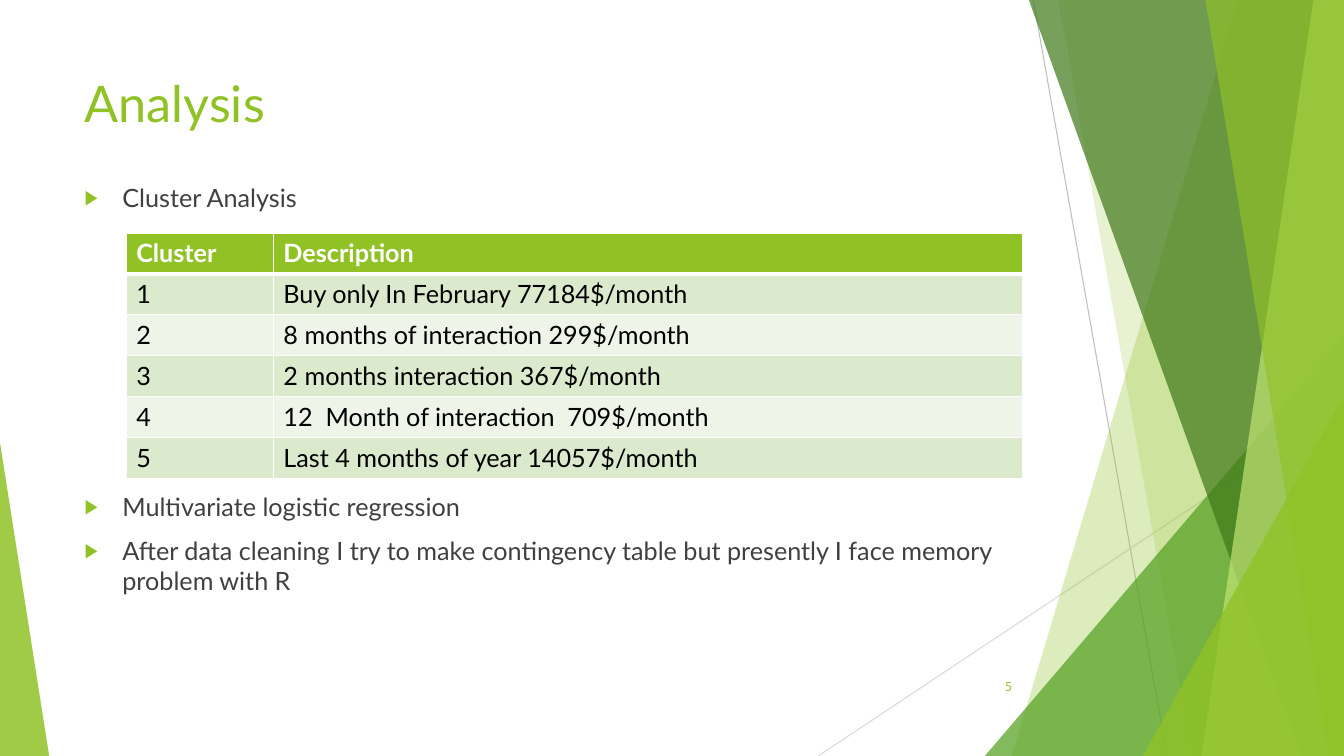
import dataclasses

import lxml.etree
import pptx
import pptx.dml.color
import pptx.enum.shapes
import pptx.enum.text
import pptx.oxml.ns
import pptx.util

Cm = pptx.util.Cm
Pt = pptx.util.Pt
qn = pptx.oxml.ns.qn

FONT = "Lato"
GREEN, WHITE, BLACK, GREY = "90C226", "FFFFFF", "000000", "404040"
BAND_COLOURS = ("DBE9CD", "EEF4E8")
WIDTH, HEIGHT = 33.87, 19.05
LEFT, TEXT_WIDTH = 1.88, 23.88
TABLE_GAP = 199  # points left between the first two bullets for the table


@dataclasses.dataclass
class Ray:
    """A thin straight line; lengths in cm."""
    x1: float
    y1: float
    x2: float
    y2: float
    colour: str


@dataclasses.dataclass
class Band:
    """A slanted area from its left edge to the slide's right edge."""
    top_x: float
    bottom_x: float
    colour: str
    opacity: int


@dataclasses.dataclass
class Wedge:
    """A right triangle standing on the slide's bottom edge."""
    left: float
    top: float
    right: float
    apex: float
    colour: str
    opacity: int


@dataclasses.dataclass
class Bullet:
    """A list item and the space before it in points."""
    text: str
    before: int = 10


DECORATION = [
    Ray(26.04, 0, 29.41, HEIGHT, "BFBFBF"),
    Ray(WIDTH, 10.24, 20.62, HEIGHT, "D9D9D9"),
    Band(31.19, 25.5, GREEN, 30),
    Band(26.67, 30.05, GREEN, 20),
    Wedge(24.82, 8.46, WIDTH, 1, "54A021", 72),
    Band(25.93, 32.79, "3F7819", 70),
    Band(33.1, 30.28, "C0E474", 70),
    Band(30.38, 33.48, GREEN, 65),
    Wedge(28.8, 9.98, WIDTH, 1, GREEN, 80),
    Wedge(0, 11.15, 1.24, 0, GREEN, 85),
]
BULLETS = [
    Bullet("Cluster Analysis"),
    Bullet("Multivariate logistic regression", TABLE_GAP),
    Bullet("After data cleaning I try to make contingency table "
           "but presently I face memory problem with R"),
]
CLUSTERS = [
    ("Cluster", "Description"),
    ("1", "Buy only In February 77184$/month"),
    ("2", "8 months of interaction 299$/month"),
    ("3", "2 months interaction 367$/month"),
    ("4", "12  Month of interaction  709$/month"),
    ("5", "Last 4 months of year 14057$/month"),
]


def rgb(colour: str) -> pptx.dml.color.RGBColor:
    """Turn a hex string into a colour."""
    return pptx.dml.color.RGBColor.from_string(colour)


def add_xml(parent, tag: str, **attrs: str):
    """Append a DrawingML element and return it."""
    return lxml.etree.SubElement(parent, qn(tag), attrs)


def format_runs(p, size: float, colour: str, bold: bool = False) -> None:
    """Set the font of every run in a paragraph."""
    for r in p.runs:
        r.font.name, r.font.size, r.font.bold = FONT, Pt(size), bold
        r.font.color.rgb = rgb(colour)


def paint(sp, colour: str, opacity: int) -> None:
    """Give a shape a see-through fill and no outline or shadow."""
    sp.shadow.inherit = False
    sp.line.fill.background()
    sp.fill.solid()
    sp.fill.fore_color.rgb = rgb(colour)
    fill = sp.element.spPr.find(qn("a:solidFill"))
    add_xml(fill[0], "a:alpha", val=str(opacity * 1000))


def draw_ray(shapes, ray: Ray) -> None:
    """Draw a thin line."""
    ends = (Cm(v) for v in (ray.x1, ray.y1, ray.x2, ray.y2))
    line = shapes.add_connector(pptx.enum.shapes.MSO_CONNECTOR.STRAIGHT, *ends)
    line.line.color.rgb = rgb(ray.colour)
    line.line.width = Pt(0.75)
    add_xml(line.element.spPr, "a:effectLst")


def draw_band(shapes, band: Band) -> None:
    """Draw a slanted area."""
    builder = shapes.build_freeform(Cm(band.top_x), 0)
    corners = ((WIDTH, 0), (WIDTH, HEIGHT), (band.bottom_x, HEIGHT))
    builder.add_line_segments([(Cm(x), Cm(y)) for x, y in corners])
    paint(builder.convert_to_shape(), band.colour, band.opacity)


def draw_wedge(shapes, wedge: Wedge) -> None:
    """Draw a right triangle."""
    sp = shapes.add_shape(
        pptx.enum.shapes.MSO_SHAPE.ISOSCELES_TRIANGLE,
        Cm(wedge.left), Cm(wedge.top),
        Cm(wedge.right - wedge.left), Cm(HEIGHT - wedge.top))
    sp.adjustments[0] = wedge.apex
    paint(sp, wedge.colour, wedge.opacity)


def place(sp, top: float, height: float) -> None:
    """Move a placeholder to the text column, in front of the decoration."""
    sp.left, sp.top = Cm(LEFT), Cm(top)
    sp.width, sp.height = Cm(TEXT_WIDTH), Cm(height)
    tf = sp.text_frame
    tf.word_wrap = True
    tf.auto_size = pptx.enum.text.MSO_AUTO_SIZE.NONE
    tf.vertical_anchor = pptx.enum.text.MSO_ANCHOR.TOP
    sp.element.getparent().append(sp.element)


def fill_list(tf, bullets: list[Bullet]) -> None:
    """Write the bulleted list."""
    tf.text = "\n".join(bullet.text for bullet in bullets)
    for p, bullet in zip(tf.paragraphs, bullets):
        format_runs(p, 18, GREY)
        p.space_before = Pt(bullet.before)
        pPr = p._p.get_or_add_pPr()
        pPr.set("marL", str(Cm(0.95)))
        pPr.set("indent", str(-Cm(0.95)))
        add_xml(add_xml(pPr, "a:buClr"), "a:srgbClr", val=GREEN)
        add_xml(pPr, "a:buSzPct", val="80000")
        add_xml(pPr, "a:buChar", char="\u25b6")


def set_borders(cell, top: float, bottom: float) -> None:
    """Give a cell white borders, one point wide at the sides."""
    tcPr = cell._tc.get_or_add_tcPr()
    for side, width in zip("LRTB", (1, 1, top, bottom)):
        ln = add_xml(tcPr, f"a:ln{side}", w=str(Pt(width)))
        add_xml(add_xml(ln, "a:solidFill"), "a:srgbClr", val=WHITE)


def draw_table(shapes, rows: list[tuple[str, str]]) -> None:
    """Draw the cluster table with a green header and banded rows."""
    widths, row_height = (3.71, 18.87), 1.03
    table = shapes.add_table(len(rows), len(widths), Cm(3.18), Cm(5.87),
                             Cm(sum(widths)), Cm(row_height * len(rows))).table
    for column, width in zip(table.columns, widths):
        column.width = Cm(width)
    for i, row in enumerate(rows):
        header = i == 0
        for j, text in enumerate(row):
            cell = table.cell(i, j)
            cell.text = text
            format_runs(cell.text_frame.paragraphs[0], 18,
                        WHITE if header else BLACK, header)
            set_borders(cell, 3 if i == 1 else 1, 3 if header else 1)
            cell.fill.solid()
            cell.fill.fore_color.rgb = rgb(
                GREEN if header else BAND_COLOURS[(i - 1) % 2])


def draw_page_number(shapes, number: str) -> None:
    """Write the page number at the lower right of the text column."""
    sp = shapes.add_textbox(Cm(23.85), Cm(16.79), Cm(1.91), Cm(1.02))
    tf = sp.text_frame
    tf.word_wrap = True
    tf.vertical_anchor = pptx.enum.text.MSO_ANCHOR.MIDDLE
    p = tf.paragraphs[0]
    p.text = number
    p.alignment = pptx.enum.text.PP_ALIGN.RIGHT
    format_runs(p, 9, GREEN)


prs = pptx.Presentation()
prs.slide_width, prs.slide_height = Cm(WIDTH), Cm(HEIGHT)
slide = prs.slides.add_slide(prs.slide_layouts[1])
title, body = slide.placeholders
painters = {Ray: draw_ray, Band: draw_band, Wedge: draw_wedge}
for item in DECORATION:
    painters[type(item)](slide.shapes, item)

place(title, 1.7, 3.66)
p = title.text_frame.paragraphs[0]
p.text = "Analysis"
p.alignment = pptx.enum.text.PP_ALIGN.LEFT
format_runs(p, 36, GREEN)
place(body, 4.47, 10.77)
fill_list(body.text_frame, BULLETS)
draw_page_number(slide.shapes, "5")
draw_table(slide.shapes, CLUSTERS)
prs.save("out.pptx")
